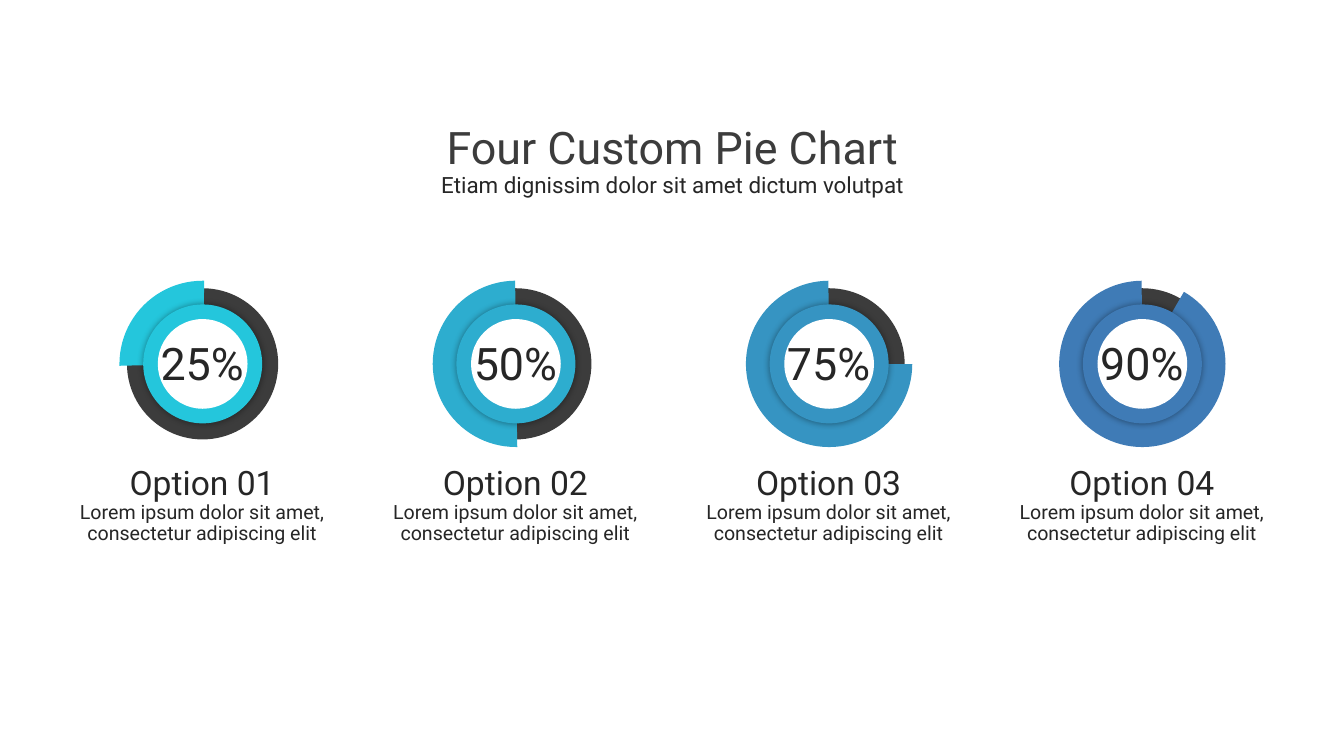
from lxml import etree
from pptx import Presentation
from pptx.dml.color import RGBColor
from pptx.enum import shapes, text
from pptx.oxml import parse_xml
from pptx.util import Inches, Pt

FONT = "Roboto"
DARK = RGBColor(0x3C, 0x3C, 0x3C)
INK = RGBColor(0x26, 0x26, 0x26)
WHITE = RGBColor(0xFF, 0xFF, 0xFF)
CYAN = RGBColor(0x24, 0xC6, 0xDC)
SKY = RGBColor(0x2D, 0xAD, 0xCF)
AZURE = RGBColor(0x36, 0x94, 0xC2)
BLUE = RGBColor(0x3F, 0x7B, 0xB6)

PITCH = 9.32 / 3
CENTER_X, CENTER_Y = 2.01, 3.61
DEGREE = 0.6  # one degree in adjustment units

SOFT_SHADOW = (
    '<a:effectLst xmlns:a="http://schemas.openxmlformats.org/drawingml/2006/main">'
    '<a:outerShdw blurRad="63500" algn="ctr" rotWithShape="0">'
    '<a:srgbClr val="000000"><a:alpha val="40000"/></a:srgbClr>'
    '</a:outerShdw></a:effectLst>'
)


def add_disc(parent, kind, center_x, size, color, adjustments=()):
    """Add a borderless round shape centred on the row of charts."""
    sp = parent.add_shape(kind, Inches(center_x - size / 2), Inches(CENTER_Y - size / 2),
                          Inches(size), Inches(size))
    for i, value in enumerate(adjustments):
        sp.adjustments[i] = value
    sp.fill.solid()
    sp.fill.fore_color.rgb = color
    sp.line.fill.background()
    sp.shadow.inherit = False
    return sp


def add_text(parent, box, lines, spacing=None, wrap=True):
    """Add centred paragraphs given as (text, size, color)."""
    tf = parent.add_textbox(*map(Inches, box)).text_frame
    tf.word_wrap = wrap
    tf.auto_size = text.MSO_AUTO_SIZE.SHAPE_TO_FIT_TEXT
    for i, (words, size, color) in enumerate(lines):
        p = tf.add_paragraph() if i else tf.paragraphs[0]
        p.text = words
        p.alignment = text.PP_ALIGN.CENTER
        p.line_spacing = spacing
        p.font.name = FONT
        p.font.size = Pt(size)
        p.font.color.rgb = color


prs = Presentation()
prs.slide_width, prs.slide_height = Inches(13.33), Inches(7.5)
s = prs.slides.add_slide(prs.slide_layouts[6])

# share, color, arc start and end in degrees, arc thickness
charts = [
    ("25%", CYAN, 178.7, 271.1, 0.146),
    ("50%", SKY, 89.05, 269.51, 0.174),
    ("75%", AZURE, 0.1, 269.51, 0.174),
    ("90%", BLUE, 299.98, 269.51, 0.174),
]
for i, (share, color, start, end, thickness) in enumerate(charts):
    x = CENTER_X + i * PITCH
    group = s.shapes.add_group_shape().shapes
    add_disc(group, shapes.MSO_SHAPE.PIE, x, 1.5, DARK, (270 * DEGREE, 270 * DEGREE))
    add_disc(group, shapes.MSO_SHAPE.BLOCK_ARC, x, 1.65, color,
             (start * DEGREE, end * DEGREE, thickness))
    ring = add_disc(group, shapes.MSO_SHAPE.OVAL, x, 1.18, color)
    no_effect = ring._element.spPr.find("{*}effectLst")
    ring._element.spPr.replace(no_effect, parse_xml(SOFT_SHADOW))
    add_disc(group, shapes.MSO_SHAPE.OVAL, x, 0.89, WHITE)
    add_text(group, (x - 0.53, 3.28, 1.05, 0.64), [(share, 32, INK)], wrap=False)

add_text(s.shapes, (3.93, 1.2, 5.48, 0.8),
         [("Four Custom Pie Chart", 32, DARK),
          ("Etiam dignissim dolor sit amet dictum volutpat", 16, INK)], 0.9)

for i in range(len(charts)):
    add_text(s.shapes, (0.55 + i * PITCH, 4.58, 2.91, 0.88),
             [(f"Option {i + 1:02d}", 24, INK),
              ("Lorem ipsum dolor sit amet, consectetur adipiscing elit", 14, INK)], 0.89)

prs.save("out.pptx")
